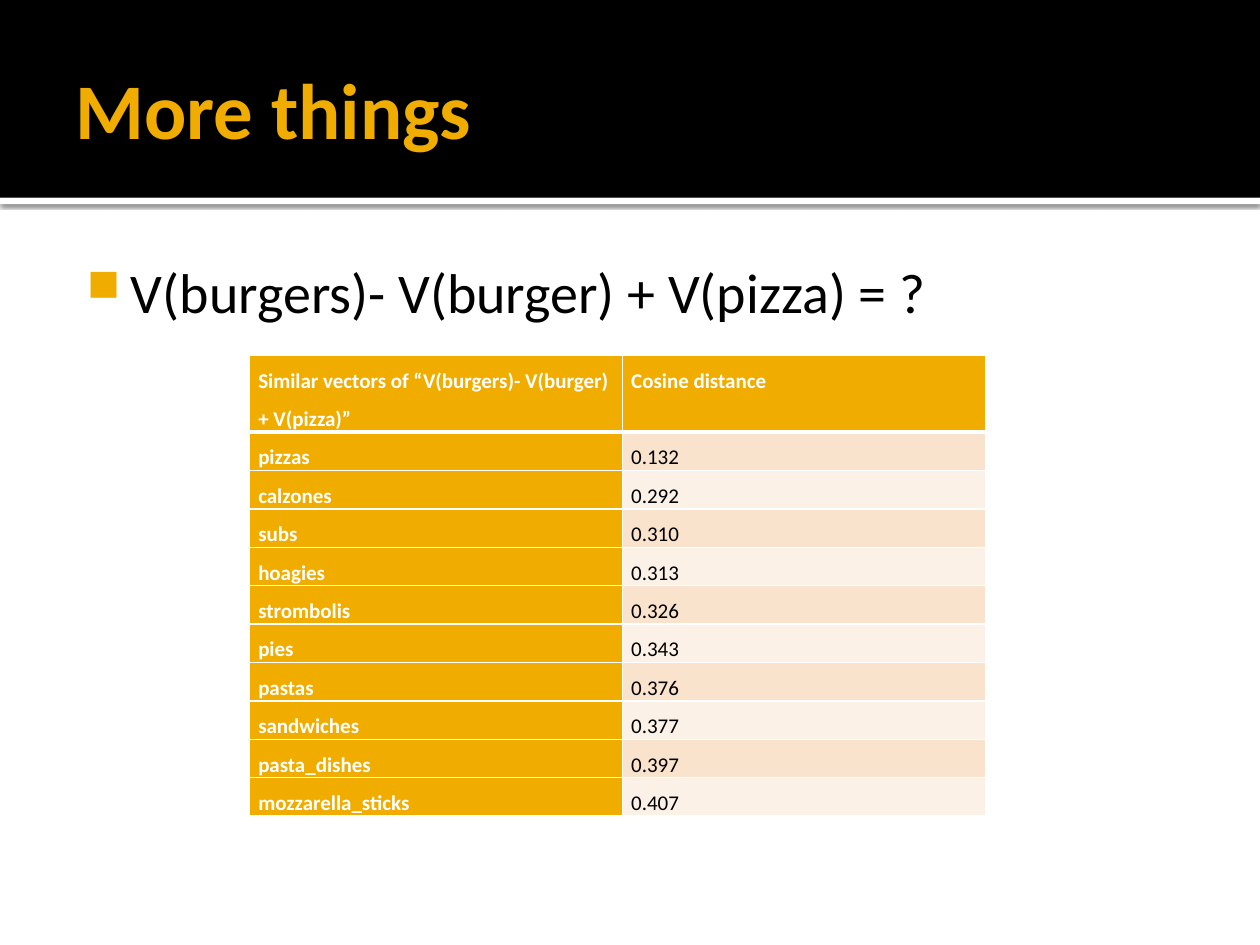
from dataclasses import dataclass

import pptx
import pptx.dml.color
import pptx.enum.shapes
import pptx.enum.text
import pptx.oxml
import pptx.oxml.ns
import pptx.util
from pptx.util import Inches

COLORS = {
    "gold": "F0AD00",
    "black": "000000",
    "white": "FFFFFF",
    "dark_band": "F9E3CC",
    "light_band": "FCF1E7",
}
NAMESPACE = pptx.oxml.ns.nsdecls("a")
TITLE_FORMAT = {"size": 45, "bold": True, "color": "gold"}
QUESTION_FORMAT = {"size": 32, "bold": False, "color": "black"}
LABEL_FORMAT = {"size": 12, "bold": True, "color": "white"}
VALUE_FORMAT = {"size": 12, "bold": False, "color": "black"}


@dataclass
class Box:
    left: float
    top: float
    width: float
    height: float

    def lengths(self) -> tuple:
        return tuple(map(Inches, (self.left, self.top, self.width, self.height)))


@dataclass
class Neighbor:
    word: str
    distance: str


NEIGHBORS = [
    Neighbor("pizzas", "0.132"),
    Neighbor("calzones", "0.292"),
    Neighbor("subs", "0.310"),
    Neighbor("hoagies", "0.313"),
    Neighbor("strombolis", "0.326"),
    Neighbor("pies", "0.343"),
    Neighbor("pastas", "0.376"),
    Neighbor("sandwiches", "0.377"),
    Neighbor("pasta_dishes", "0.397"),
    Neighbor("mozzarella_sticks", "0.407"),
]


def rgb(name: str) -> pptx.dml.color.RGBColor:
    return pptx.dml.color.RGBColor.from_string(COLORS[name])


def format_font(font, values: dict) -> None:
    settings = {
        "name": "Calibri",
        "size": pptx.util.Pt(values["size"]),
        "bold": values["bold"],
    }
    for attribute, value in settings.items():
        setattr(font, attribute, value)
    font.color.rgb = rgb(values["color"])


def set_margins(target, left: float, top: float, right: float, bottom: float) -> None:
    margins = {"left": left, "top": top, "right": right, "bottom": bottom}
    for side, margin in margins.items():
        setattr(target, f"margin_{side}", Inches(margin))


def add_bar(slide, box: Box, color: str):
    bar = slide.shapes.add_shape(
        pptx.enum.shapes.MSO_SHAPE.RECTANGLE, *box.lengths()
    )
    bar.shadow.inherit = False
    bar.fill.solid()
    bar.fill.fore_color.rgb = rgb(color)
    bar.line.fill.background()
    return bar


def add_soft_shadow(shape) -> None:
    effects = shape._element.spPr.find(pptx.oxml.ns.qn("a:effectLst"))
    effects.append(pptx.oxml.parse_xml(
        f'<a:outerShdw {NAMESPACE} blurRad="31750" dist="10160" dir="5400000" '
        f'algn="tl" rotWithShape="0"><a:srgbClr val="{COLORS["black"]}">'
        '<a:alpha val="60000"/></a:srgbClr></a:outerShdw>'
    ))


def place_title(slide, box: Box, text: str) -> None:
    """Fill the title placeholder and bring it in front of the bars."""
    title = slide.shapes.title
    title.left, title.top, title.width, title.height = box.lengths()
    frame = title.text_frame
    frame.auto_size = pptx.enum.text.MSO_AUTO_SIZE.NONE
    frame.vertical_anchor = pptx.enum.text.MSO_ANCHOR.MIDDLE
    set_margins(frame, 0.1, 0.05, 0.05, 0.05)
    paragraph = frame.paragraphs[0]
    paragraph.alignment = pptx.enum.text.PP_ALIGN.LEFT
    run = paragraph.add_run()
    run.text = text
    format_font(run.font, TITLE_FORMAT)
    title._element.getparent().append(title._element)


def add_question(slide, box: Box, text: str) -> None:
    frame = slide.shapes.add_textbox(*box.lengths()).text_frame
    frame.word_wrap = True
    set_margins(frame, 0.06, 0.1, 0.1, 0.05)
    paragraph = frame.paragraphs[0]
    properties = paragraph._p.get_or_add_pPr()
    properties.set("marL", str(Inches(0.48)))
    properties.set("indent", str(Inches(-0.35)))
    for bullet in (
        f'<a:buClr {NAMESPACE}><a:srgbClr val="{COLORS["gold"]}"/></a:buClr>',
        f'<a:buSzPct {NAMESPACE} val="80000"/>',
        f'<a:buChar {NAMESPACE} char="■"/>',
    ):
        properties.append(pptx.oxml.parse_xml(bullet))
    run = paragraph.add_run()
    run.text = text
    format_font(run.font, QUESTION_FORMAT)


def set_borders(cell, bottom_width: float) -> None:
    properties = cell._tc.get_or_add_tcPr()
    for side, width in {"L": 1, "R": 1, "T": 1, "B": bottom_width}.items():
        properties.append(pptx.oxml.parse_xml(
            f'<a:ln{side} {NAMESPACE} w="{pptx.util.Pt(width)}"><a:solidFill>'
            f'<a:srgbClr val="{COLORS["white"]}"/></a:solidFill></a:ln{side}>'
        ))


def fill_cell(cell, text: str, values: dict, fill: str, bottom_width: float) -> None:
    set_borders(cell, bottom_width)
    cell.fill.solid()
    cell.fill.fore_color.rgb = rgb(fill)
    set_margins(cell, 0.07, 0, 0.07, 0)
    paragraph = cell.text_frame.paragraphs[0]
    paragraph.line_spacing = 1.5
    run = paragraph.add_run()
    run.text = text
    format_font(run.font, values)


def add_neighbor_table(slide, box: Box, headings: list[str]) -> None:
    table = slide.shapes.add_table(len(NEIGHBORS) + 1, 2, *box.lengths()).table
    for column, width in zip(table.columns, (2.96, 2.88)):
        column.width = Inches(width)
    row_height = box.height / (len(NEIGHBORS) + 2)
    for index, row in enumerate(table.rows):
        row.height = Inches(row_height * (1 if index else 2))
    for column, heading in enumerate(headings):
        fill_cell(table.cell(0, column), heading, LABEL_FORMAT, "gold", 3)
    for row, neighbor in enumerate(NEIGHBORS, start=1):
        band = "dark_band" if row % 2 else "light_band"
        fill_cell(table.cell(row, 0), neighbor.word, LABEL_FORMAT, "gold", 1)
        fill_cell(table.cell(row, 1), neighbor.distance, VALUE_FORMAT, band, 1)


def main() -> None:
    presentation = pptx.Presentation()
    presentation.slide_width = Inches(10)
    presentation.slide_height = Inches(7.5)
    slide = presentation.slides.add_slide(presentation.slide_layouts[5])

    add_soft_shadow(add_bar(slide, Box(0, 1.57, 10, 0.05), "white"))
    add_bar(slide, Box(0, 0, 10, 1.57), "black")
    place_title(slide, Box(0.5, 0.17, 9, 1.37), "More things")
    add_question(
        slide, Box(0.5, 1.94, 9, 5.06), "V(burgers)- V(burger) + V(pizza) = ?"
    )
    add_neighbor_table(
        slide,
        Box(1.98, 2.82, 5.84, 3.66),
        ["Similar vectors of “V(burgers)- V(burger) + V(pizza)”", "Cosine distance"],
    )
    presentation.save("out.pptx")


if __name__ == "__main__":
    main()
